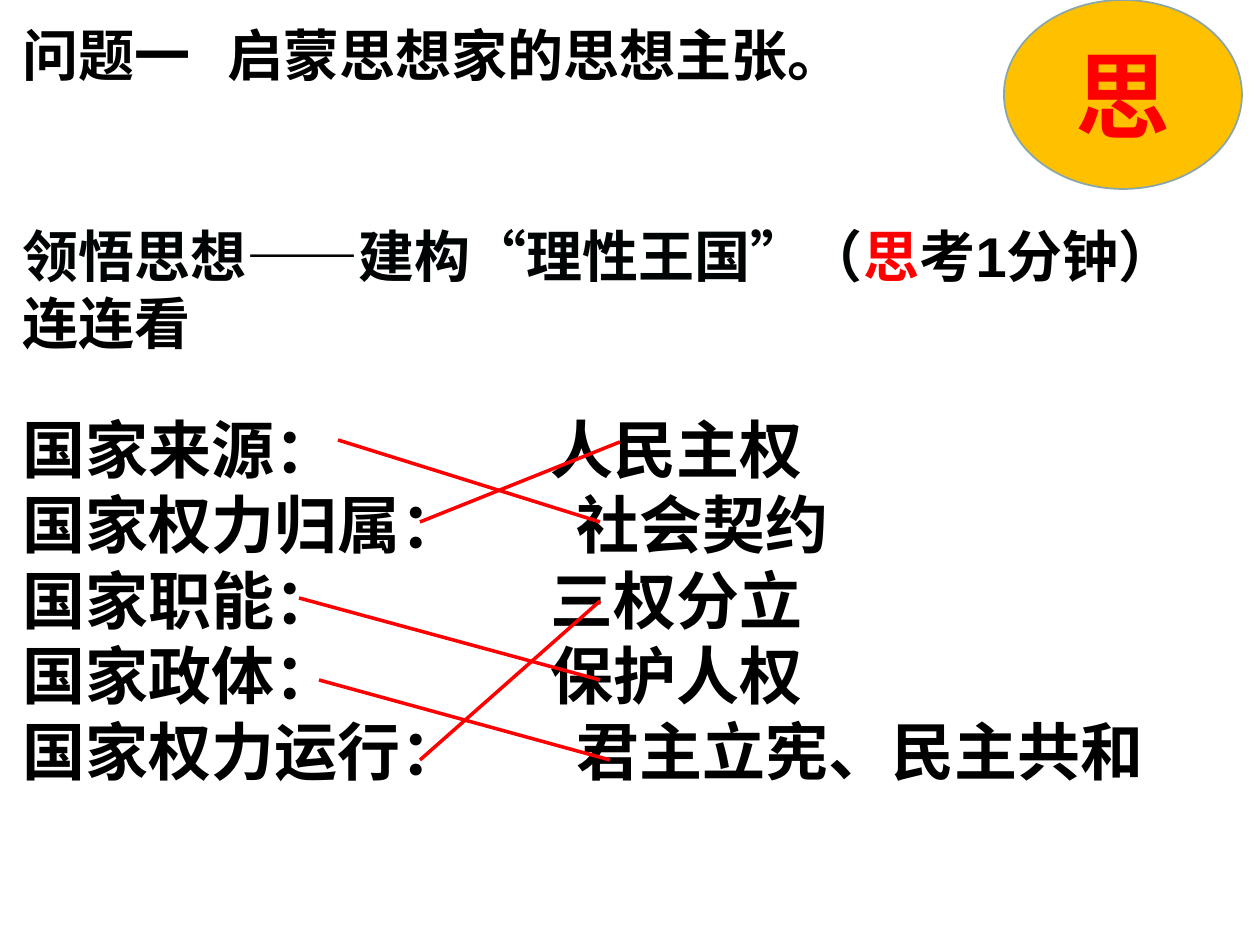
from lxml.etree import SubElement as Sub
from pptx import Presentation
from pptx.dml.color import RGBColor as RGB
from pptx.enum.shapes import MSO_CONNECTOR as Conn, MSO_SHAPE as Shape
from pptx.oxml.ns import qn
from pptx.util import Emu, Pt

PX = 914400 // 126
COL = {"ink": "000000", "dark": "000404", "red": "FF0000",
       "gold": "FFC000", "rim": "8AA6A8"}
LATIN, HAN = "Arial", "Noto Sans CJK SC"

# Left item, right item, tab stop of the right item
ROWS = [("国家来源：", "人民主权", 528),
        ("国家权力归属：", "社会契约", 554),
        ("国家职能：", "三权分立", 528),
        ("国家政体：", "保护人权", 528),
        ("国家权力运行：", "君主立宪、民主共和", 554)]

# Matching lines: from x, y to x, y
LINKS = [(338, 440, 600, 522), (420, 522, 620, 442), (299, 598, 600, 680),
         (319, 680, 610, 760), (420, 760, 600, 601)]


def px(*vals):
    return [Emu(v * PX) for v in vals]


def style(font, size, col="ink", name=LATIN):
    font.size, font.bold, font.name = Pt(size), True, name
    font.color.rgb = RGB.from_string(COL[col])
    # East Asian face follows the Latin one
    face = font._rPr.find(qn("a:latin"))
    east = Sub(font._rPr, qn("a:ea"), typeface=name)
    face.addnext(east)


def add_box(slide, *area):
    frame = slide.shapes.add_textbox(*px(*area)).text_frame
    frame.word_wrap = True
    return frame


def add_para(frame, size, parts, tab=None, gap=0):
    """Write (text, colour, font) parts as one paragraph."""
    first = frame.paragraphs[0]
    para = frame.add_paragraph() if first.runs else first
    para.line_spacing = Pt(size * 1.2)
    if gap:
        para.space_before = Pt(gap)
    if tab:
        tabs = Sub(para._p.get_or_add_pPr(), qn("a:tabLst"))
        Sub(tabs, qn("a:tab"), pos=str(tab * PX), algn="l")
    for text, col, name in parts:
        run = para.add_run()
        run.text = text
        if len(parts) > 1:
            style(run.font, size, col, name)
    if len(parts) == 1:
        style(para.font, size, *parts[0][1:])


def add_oval(slide, *area):
    oval = slide.shapes.add_shape(Shape.OVAL, *px(*area))
    oval.shadow.inherit = False
    oval.fill.solid()
    oval.fill.fore_color.rgb = RGB.from_string(COL["gold"])
    oval.line.color.rgb = RGB.from_string(COL["rim"])
    oval.line.width = Pt(1)


def add_link(slide, *ends):
    link = slide.shapes.add_connector(Conn.STRAIGHT, *px(*ends))
    link.line.color.rgb = RGB.from_string(COL["red"])
    link.line.width = Pt(2)
    Sub(link._element.spPr, qn("a:effectLst"))


def main():
    prs = Presentation()
    prs.slide_width, prs.slide_height = px(1260, 945)
    slide = prs.slides.add_slide(prs.slide_layouts[6])

    # Question and task
    head = add_box(slide, 10, 14, 1179, 352)
    add_para(head, 32, [("问题一\t启蒙思想家的思想主张。", "ink", LATIN)], tab=205)
    add_para(head, 32, [("领悟思想——建构“理性王国”（", "dark", HAN),
                        ("思", "red", LATIN),
                        ("考1分钟）", "ink", LATIN)], gap=76.8)
    add_para(head, 32, [("连连看", "ink", LATIN)])

    # Items to match
    body = add_box(slide, 10, 404, 1221, 394)
    for left, right, tab in ROWS:
        add_para(body, 36, [(f"{left}\t{right}", "ink", LATIN)], tab=tab)

    # Badge
    add_oval(slide, 1004, 0, 238, 189)
    badge = add_box(slide, 1063, 31, 79, 127)
    add_para(badge, 54, [("思", "red", LATIN)])

    # Answers
    for ends in LINKS:
        add_link(slide, *ends)

    prs.save("out.pptx")


if __name__ == "__main__":
    main()
